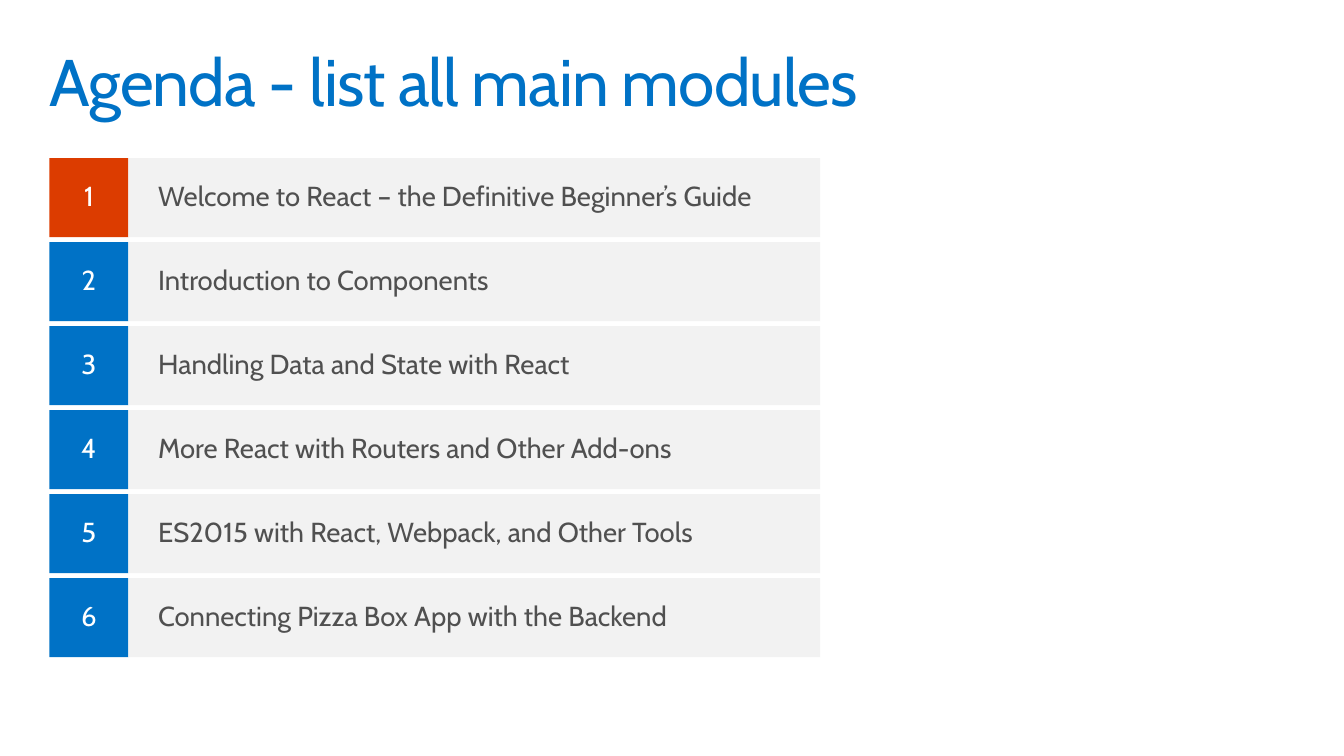
"""Build the agenda slide with its six numbered modules."""
import pptx
import pptx.dml.color
import pptx.enum.shapes
import pptx.enum.text
import pptx.util

PX = 9144
ALIGN = pptx.enum.text.PP_ALIGN
BLUE, ORANGE, GRAY, WHITE, DARK = "0072C6", "DC3C00", "F2F2F2", "FFFFFF", "505050"
MODULES = [
    "Welcome to React – the Definitive Beginner’s Guide",
    "Introduction to Components",
    "Handling Data and State with React",
    "More React with Routers and Other Add-ons",
    "ES2015 with React, Webpack, and Other Tools",
    "Connecting Pizza Box App with the Backend",
]
TOP, LEFT, SIDE, GAP, LABEL_WIDTH = 160, 50, 80, 5, 700


def color(value):
    return pptx.dml.color.RGBColor.from_string(value)


def write(shape, text, size, ink, align, inset_x, inset_y):
    frame = shape.text_frame
    frame.word_wrap = True
    frame.margin_left = frame.margin_right = inset_x * PX
    frame.margin_top = frame.margin_bottom = inset_y * PX
    frame.text = text
    para = frame.paragraphs[0]
    para.alignment = align
    para.line_spacing = 0.9
    span = para.runs[0]
    span.font.name = "Cabin"
    span.font.size = pptx.util.Pt(size)
    span.font.color.rgb = color(ink)
    return span


deck = pptx.Presentation()
deck.slide_width = 1360 * PX
deck.slide_height = 765 * PX
page = deck.slides.add_slide(deck.slide_layouts[6])

title = page.shapes.add_textbox(40 * PX, 40 * PX, 1280 * PX, 100 * PX)
heading = write(title, "Agenda - list all main modules", 48, BLUE, ALIGN.LEFT, 10, 10)
heading._r.get_or_add_rPr().set("spc", "-70")

for index, module in enumerate(MODULES):
    top = TOP + index * (SIDE + GAP)
    number_fill = ORANGE if index == 0 else BLUE
    cells = [
        (LEFT, SIDE, number_fill, str(index + 1), WHITE, ALIGN.CENTER, 20, 16),
        (LEFT + SIDE, LABEL_WIDTH, GRAY, module, DARK, ALIGN.LEFT, 30, 10),
    ]
    for left, width, fill, text, ink, align, inset_x, inset_y in cells:
        box = page.shapes.add_shape(
            pptx.enum.shapes.MSO_SHAPE.RECTANGLE,
            left * PX, top * PX, width * PX, SIDE * PX,
        )
        box.shadow.inherit = False
        box.fill.solid()
        box.fill.fore_color.rgb = color(fill)
        box.line.fill.background()
        box.text_frame.vertical_anchor = pptx.enum.text.MSO_ANCHOR.MIDDLE
        write(box, text, 20, ink, align, inset_x, inset_y)

deck.save("out.pptx")
